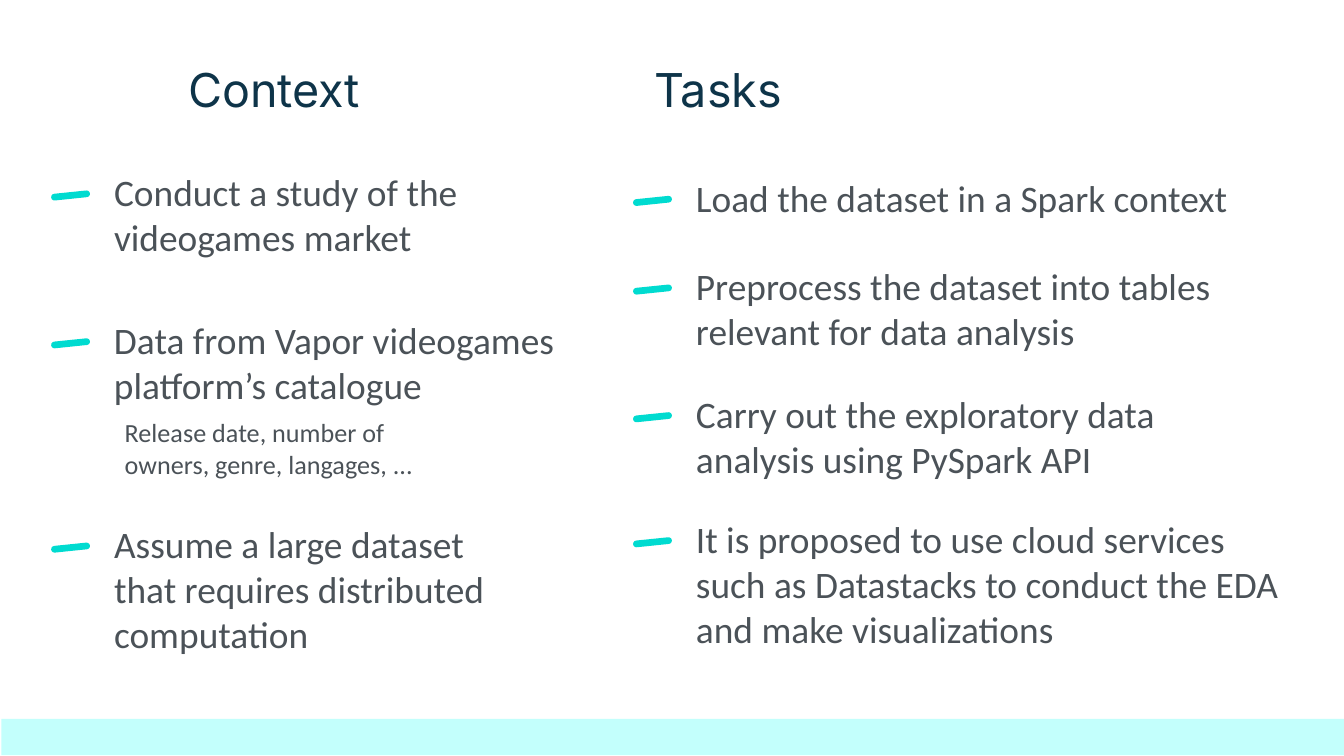
from pptx import Presentation
from pptx.dml.color import RGBColor
from pptx.enum.shapes import MSO_SHAPE
from pptx.enum.text import MSO_ANCHOR, MSO_AUTO_SIZE, PP_ALIGN
from pptx.util import Inches, Pt

RECTANGLE = MSO_SHAPE.RECTANGLE
ROUNDED_RECTANGLE = MSO_SHAPE.ROUNDED_RECTANGLE
TOP = MSO_ANCHOR.TOP
NO_AUTOFIT = MSO_AUTO_SIZE.NONE
LEFT = PP_ALIGN.LEFT

NAVY = RGBColor(0x0E, 0x34, 0x49)
GRAY = RGBColor(0x4B, 0x52, 0x58)
TURQUOISE = RGBColor(0x00, 0xDB, 0xD0)
PALE_CYAN = RGBColor(0xC3, 0xFF, 0xFC)


def write_text(shape, box, text, size, font_name, color):
    """Place a text shape at box (inches) and fill it with one left-aligned run."""
    shape.left, shape.top, shape.width, shape.height = map(Inches, box)
    frame = shape.text_frame
    frame.word_wrap = True
    frame.auto_size = NO_AUTOFIT
    frame.vertical_anchor = TOP
    frame.margin_left = frame.margin_right = Inches(0.1)
    frame.margin_top = frame.margin_bottom = Inches(0.1)
    paragraph = frame.paragraphs[0]
    paragraph.alignment = LEFT
    run = paragraph.add_run()
    run.text = text
    run.font.size = Pt(size)
    run.font.name = font_name
    run.font.color.rgb = color


def add_filled_shape(kind, box, color):
    shape = slide.shapes.add_shape(kind, *map(Inches, box))
    shape.shadow.inherit = False
    shape.fill.solid()
    shape.fill.fore_color.rgb = color
    shape.line.fill.background()
    return shape


presentation = Presentation()
presentation.slide_width = Inches(10)
presentation.slide_height = Inches(10 * 9 / 16)
slide = presentation.slides.add_slide(presentation.slide_layouts[5])

add_filled_shape(RECTANGLE, (0.01, 5.35, 10, 0.27), PALE_CYAN)

# Column headings
tasks_heading = slide.shapes.add_textbox(0, 0, 0, 0)
write_text(slide.shapes.title, (1.3, 0.35, 1.94, 0.58), "Context", 25, "Inter", NAVY)
write_text(tasks_heading, (4.77, 0.35, 1.94, 0.58), "Tasks", 25, "Inter", NAVY)

# Each column: text left edge, then items as (top, width, height, text)
columns = [
    (0.75, [
        (1.16, 3.01, 0.83, "Conduct a study of the videogames market"),
        (2.26, 3.56, 0.87, "Data from Vapor videogames platform’s catalogue"),
        (3.78, 3.15, 1.26, "Assume a large dataset that requires distributed computation"),
    ]),
    (5.08, [
        (1.2, 4.8, 0.54, "Load the dataset in a Spark context"),
        (1.86, 4.19, 0.85, "Preprocess the dataset into tables relevant for data analysis"),
        (2.81, 3.98, 0.9, "Carry out the exploratory data analysis using PySpark API"),
        (3.74, 4.66, 1.25, "It is proposed to use cloud services such as Datastacks "
                           "to conduct the EDA and make visualizations"),
    ]),
]
for left, items in columns:
    for top, width, height, text in items:
        item = slide.shapes.add_textbox(0, 0, 0, 0)
        write_text(item, (left, top, width, height), text, 20, "Calibri", GRAY)
        dash = add_filled_shape(
            ROUNDED_RECTANGLE, (left - 0.37, top + 0.27, 0.29, 0.05), TURQUOISE)
        dash.adjustments[0] = 0.5
        dash.rotation = 354.1

data_detail = slide.shapes.add_textbox(0, 0, 0, 0)
write_text(data_detail, (0.83, 3, 2.6, 0.69),
           "Release date, number of owners, genre, langages, ...", 14, "Calibri", GRAY)

presentation.save("out.pptx")
